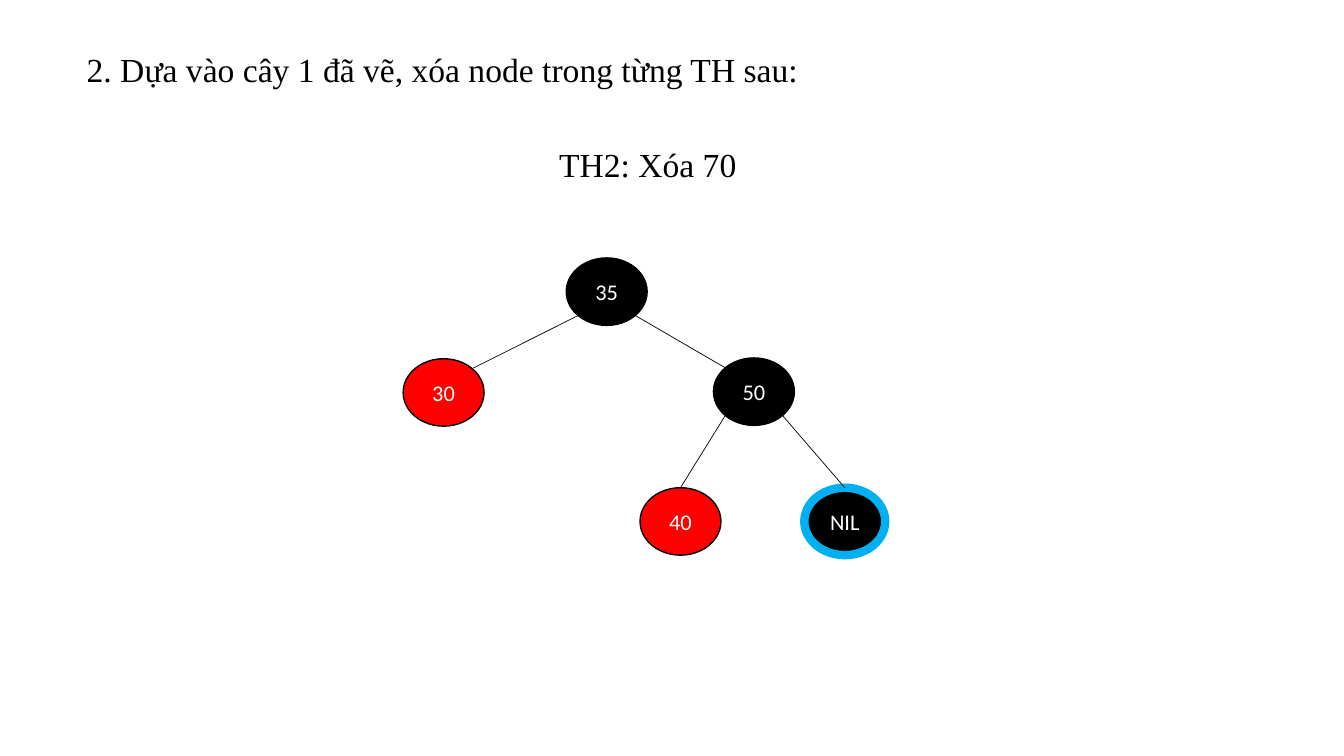
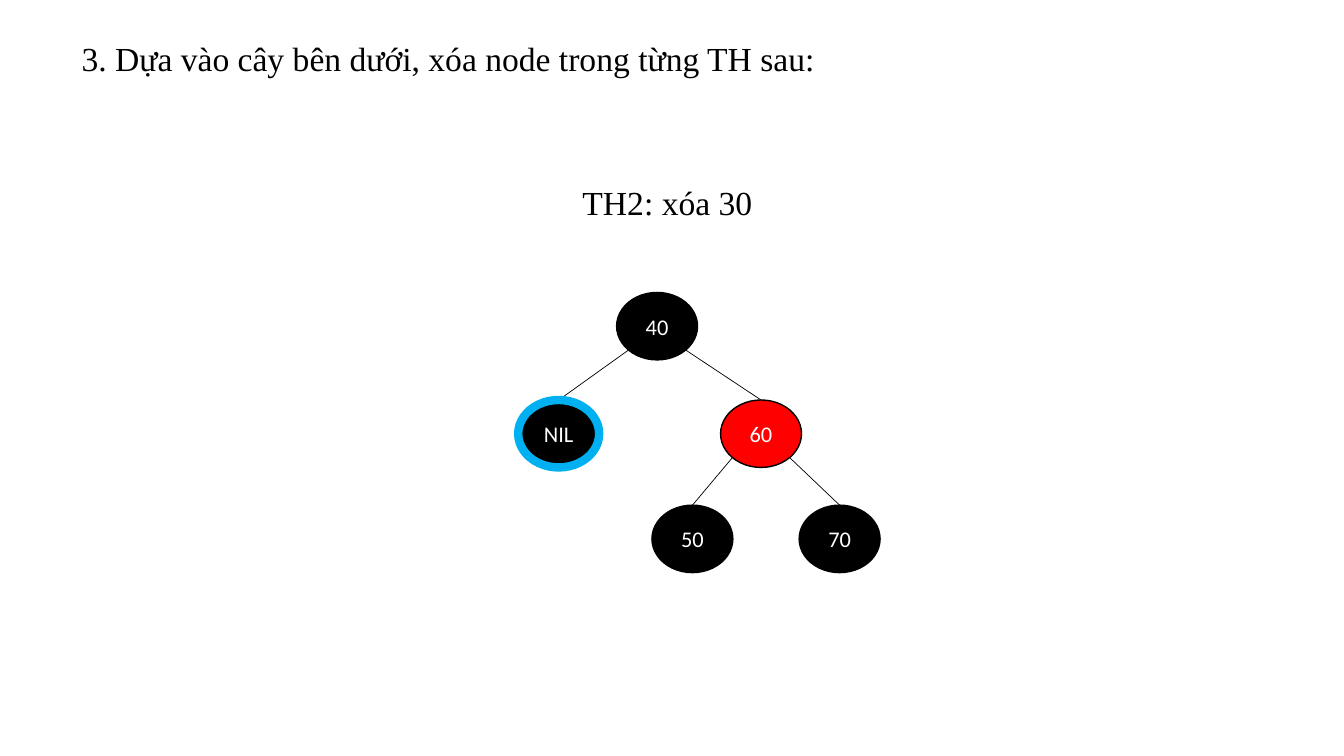
from math import sqrt

from lxml.etree import SubElement
from pptx import Presentation
from pptx.dml.color import RGBColor
from pptx.enum.shapes import MSO_CONNECTOR, MSO_SHAPE
from pptx.enum.text import MSO_ANCHOR, MSO_AUTO_SIZE, PP_ALIGN
from pptx.oxml.ns import qn
from pptx.util import Cm, Pt

BLACK, RED, BLUE, WHITE = "000000", "FF0000", "00B0F0", "FFFFFF"
NODE_W, NODE_H = 2.04, 1.7
DIAGONAL = sqrt(0.5)

# Nodes: label, left, top, fill. Edges: parent, child, side of the parent,
# side of the child that is met (0 is its top).
SLIDES = [
    dict(title="2. Dựa vào cây 1 đã vẽ, xóa node trong từng TH sau:",
         title_at=(1.93, 1.04, 24.97, 1.27),
         case="TH2: Xóa 70", case_at=(13.84, 3.43, 16.92, 1.3),
         nodes=[("35", 14.27, 6.5, BLACK), ("30", 10.16, 9.04, RED),
                ("50", 17.98, 9.02, BLACK), ("40", 16.13, 12.29, RED),
                ("NIL", 20.27, 12.29, BLACK)],
         edges=[("35", "30", -1, 1), ("35", "50", 1, -1),
                ("50", "40", -1, 0), ("50", "NIL", 1, 0)],
         edges_in_front=True),
    dict(title="3. Dựa vào cây bên dưới, xóa node trong từng TH sau:",
         title_at=(1.8, 0.76, 22.56, 1.27),
         case="TH2: xóa 30", case_at=(14.43, 4.39, 16.92, 1.3),
         nodes=[("40", 15.54, 7.37, BLACK), ("60", 18.16, 10.08, RED),
                ("50", 16.43, 12.73, BLACK), ("70", 20.14, 12.73, BLACK),
                ("NIL", 13.06, 10.08, BLACK)],
         edges=[("40", "NIL", -1, 0), ("40", "60", 1, 0),
                ("60", "50", -1, 0), ("60", "70", 1, 0)],
         edges_in_front=False),
]


def rgb(color):
    """Turn a hex string into a colour."""
    return RGBColor.from_string(color)


def write(shape, text, size=24, font="Times New Roman", color=BLACK,
          align=PP_ALIGN.LEFT, anchor=MSO_ANCHOR.TOP, spacing=1.07):
    """Put one formatted paragraph into a shape."""
    tf = shape.text_frame
    tf.word_wrap = True
    tf.auto_size = MSO_AUTO_SIZE.NONE
    tf.vertical_anchor = anchor
    p = tf.paragraphs[0]
    p.alignment = align
    p.line_spacing = spacing
    r = p.add_run()
    r.text = text
    r.font.size = Pt(size)
    r.font.name = font
    r.font.color.rgb = rgb(color)


prs = Presentation()
prs.slide_width, prs.slide_height = Cm(33.87), Cm(19.05)

for tree in SLIDES:
    s = prs.slides.add_slide(prs.slide_layouts[5])
    title = s.shapes.title
    title.left, title.top, title.width, title.height = map(Cm, tree["title_at"])
    write(title, tree["title"])
    case = s.shapes.add_textbox(*map(Cm, tree["case_at"]))
    write(case, tree["case"])

    centers = {label: (left + NODE_W / 2, top + NODE_H / 2)
               for label, left, top, fill in tree["nodes"]}
    dx, dy = NODE_W / 2 * DIAGONAL, NODE_H / 2 * DIAGONAL

    for layer in ("nodes", "edges") if tree["edges_in_front"] else ("edges", "nodes"):
        if layer == "nodes":
            for label, left, top, fill in tree["nodes"]:
                node = s.shapes.add_shape(MSO_SHAPE.OVAL, Cm(left), Cm(top),
                                          Cm(NODE_W), Cm(NODE_H))
                node.shadow.inherit = False
                node.fill.solid()
                node.fill.fore_color.rgb = rgb(fill)
                node.line.color.rgb = rgb(BLUE if label == "NIL" else BLACK)
                node.line.width = Pt(6 if label == "NIL" else 1)
                write(node, label, size=16, font="Calibri", color=WHITE,
                      align=PP_ALIGN.CENTER, anchor=MSO_ANCHOR.MIDDLE, spacing=1.0)
        else:
            for parent, child, side, child_side in tree["edges"]:
                (x1, y1), (x2, y2) = centers[parent], centers[child]
                rise = dy if child_side else NODE_H / 2
                edge = s.shapes.add_connector(
                    MSO_CONNECTOR.STRAIGHT, Cm(x1 + side * dx), Cm(y1 + dy),
                    Cm(x2 + child_side * dx), Cm(y2 - rise))
                edge.line.color.rgb = rgb(BLACK)
                edge.line.width = Pt(0.5)
                SubElement(edge.element.spPr, qn("a:effectLst"))

prs.save("out.pptx")
